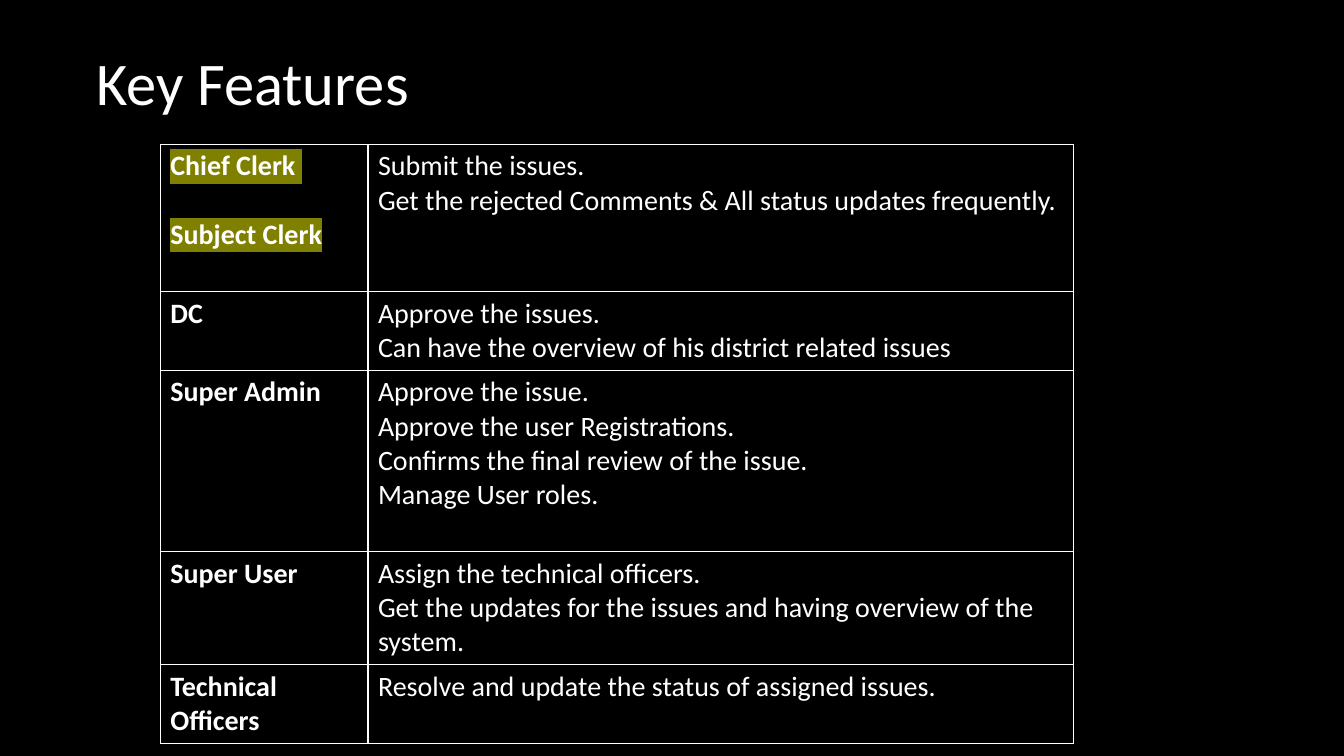
from dataclasses import dataclass
from typing import Any

import pptx
import pptx.dml.color
import pptx.enum.text
import pptx.oxml
import pptx.oxml.ns
import pptx.util

SLIDE_WIDTH = pptx.util.Inches(13.33)
SLIDE_HEIGHT = pptx.util.Inches(7.5)
GRID_COLUMNS, GRID_ROWS = 160, 90


@dataclass(frozen=True)
class Theme:
    font: str = "Calibri"
    background: str = "000000"
    text: str = "FFFFFF"
    border: str = "FFFFFF"
    highlight: str = "808000"
    title_size: float = 43.2
    body_size: float = 20
    role_gap: float = 24.4
    border_width: float = 1


@dataclass(frozen=True)
class Feature:
    """One table row; height is in grid rows."""
    roles: tuple[str, ...]
    duties: tuple[str, ...]
    height: float
    highlighted: bool = False


THEME = Theme()
TITLE_BOX = (9, 8.04, 42.13, 6)
TABLE_ORIGIN = (19.08, 17.16)
TABLE_COLUMNS = (24.72, 84)
FEATURES = (
    Feature(("Chief Clerk ", "Subject Clerk"),
            ("Submit the issues.",
             "Get the rejected Comments & All status updates frequently."),
            17.55, highlighted=True),
    Feature(("DC",),
            ("Approve the issues.\vCan have the overview of his district related issues",), 9.36),
    Feature(("Super Admin",),
            ("Approve the issue.", "Approve the user Registrations.",
             "Confirms the final review of the issue.", "Manage User roles."), 21.6),
    Feature(("Super User",),
            ("Assign the technical officers.",
             "Get the updates for the issues and having overview of the system."), 13.45),
    Feature(("Technical Officers",),
            ("Resolve and update the status of assigned issues.",), 9.36),
)


def across(columns: float) -> int:
    return round(SLIDE_WIDTH * columns / GRID_COLUMNS)


def down(rows: float) -> int:
    return round(SLIDE_HEIGHT * rows / GRID_ROWS)


def apply_format(target: Any, values: dict[str, Any]) -> None:
    for name, value in values.items():
        setattr(target, name, value)


def format_runs(paragraph: Any, size: float, bold: bool = False) -> None:
    for run in paragraph.runs:
        apply_format(run.font, {"name": THEME.font, "size": pptx.util.Pt(size), "bold": bold})
        run.font.color.rgb = pptx.dml.color.RGBColor.from_string(THEME.text)


def highlight_runs(paragraph: Any) -> None:
    for run in paragraph.runs:
        highlight = pptx.oxml.parse_xml(
            f'<a:highlight {pptx.oxml.ns.nsdecls("a")}>'
            f'<a:srgbClr val="{THEME.highlight}"/></a:highlight>')
        run.font.fill  # the highlight element belongs right after the text fill
        fill = run.font._element.find(pptx.oxml.ns.qn("a:solidFill"))
        fill.addnext(highlight)


def outline_cell(cell: Any) -> None:
    properties = cell._tc.get_or_add_tcPr()
    for side in ("lnL", "lnR", "lnT", "lnB"):
        properties.append(pptx.oxml.parse_xml(
            f'<a:{side} {pptx.oxml.ns.nsdecls("a")} w="{pptx.util.Pt(THEME.border_width)}">'
            f'<a:solidFill><a:srgbClr val="{THEME.border}"/></a:solidFill></a:{side}>'))
    cell.fill.background()


def fill_cell(cell: Any, lines: tuple[str, ...], bold: bool = False,
              highlighted: bool = False, gap: float = 0) -> None:
    outline_cell(cell)
    for index, line in enumerate(lines):
        paragraph = cell.text_frame.paragraphs[0] if index == 0 else cell.text_frame.add_paragraph()
        paragraph.text = line
        paragraph.space_before = pptx.util.Pt(gap if index else 0)
        format_runs(paragraph, THEME.body_size, bold)
        if highlighted:
            highlight_runs(paragraph)


def add_title(slide: Any, text: str) -> None:
    left, top, width, height = TITLE_BOX
    shape = slide.shapes.add_textbox(across(left), down(top), across(width), down(height))
    apply_format(shape.text_frame, {
        "word_wrap": True, "margin_top": 0, "margin_bottom": 0,
        "vertical_anchor": pptx.enum.text.MSO_ANCHOR.BOTTOM})
    paragraph = shape.text_frame.paragraphs[0]
    apply_format(paragraph, {"text": text, "alignment": pptx.enum.text.PP_ALIGN.CENTER})
    format_runs(paragraph, THEME.title_size)


def add_feature_table(slide: Any, features: tuple[Feature, ...]) -> None:
    left, top = TABLE_ORIGIN
    height = sum(feature.height for feature in features)
    table = slide.shapes.add_table(
        len(features), len(TABLE_COLUMNS), across(left), down(top),
        across(sum(TABLE_COLUMNS)), down(height)).table
    apply_format(table, {"first_row": False, "horz_banding": False})
    for column, width in zip(table.columns, TABLE_COLUMNS):
        column.width = across(width)
    for row, feature in zip(table.rows, features):
        row.height = down(feature.height)
        role_cell, duty_cell = row.cells
        fill_cell(role_cell, feature.roles, True, feature.highlighted, THEME.role_gap)
        fill_cell(duty_cell, feature.duties)


def main() -> None:
    presentation = pptx.Presentation()
    apply_format(presentation, {"slide_width": SLIDE_WIDTH, "slide_height": SLIDE_HEIGHT})
    slide = presentation.slides.add_slide(presentation.slide_layouts[6])
    slide.background.fill.solid()
    slide.background.fill.fore_color.rgb = pptx.dml.color.RGBColor.from_string(THEME.background)
    add_title(slide, "Key Features")
    add_feature_table(slide, FEATURES)
    presentation.save("out.pptx")


if __name__ == "__main__":
    main()
